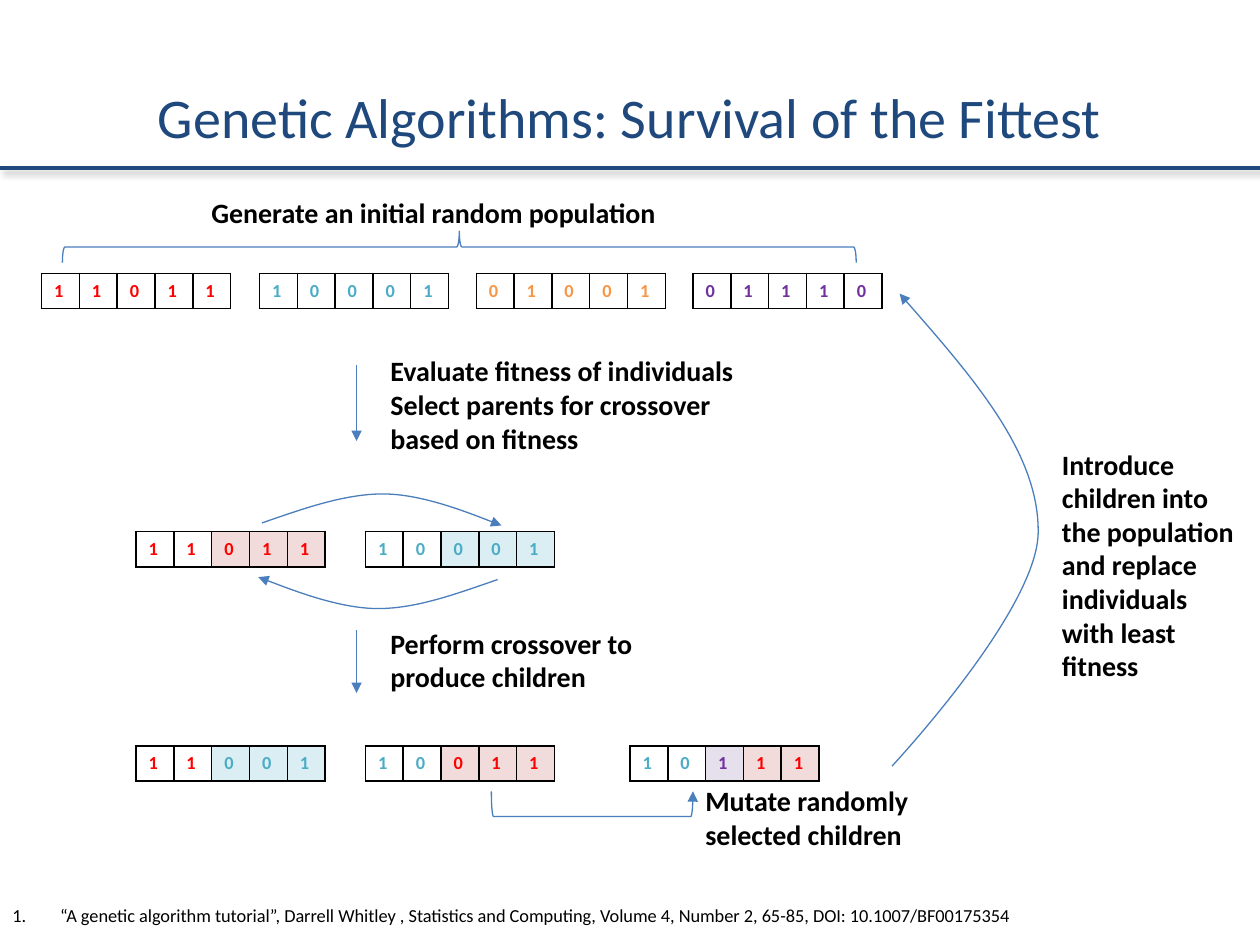
from lxml import etree
from pptx import Presentation
from pptx.dml.color import RGBColor
from pptx.enum.shapes import MSO_CONNECTOR as CONN, MSO_SHAPE as SHAPE
from pptx.enum.text import MSO_ANCHOR as ANCHOR, PP_ALIGN as ALIGN
from pptx.oxml import parse_xml
from pptx.oxml.ns import nsdecls, qn
from pptx.util import Inches, Pt

NAVY = RGBColor(0x1F, 0x49, 0x7D)
BLUE = RGBColor(0x4B, 0x7E, 0xBC)
BLACK = RGBColor(0, 0, 0)
WHITE = RGBColor(0xFF, 0xFF, 0xFF)
GENE = {
    "R": RGBColor(0xFF, 0, 0),
    "B": RGBColor(0x4B, 0xAC, 0xC6),
    "O": RGBColor(0xF7, 0x96, 0x46),
    "P": RGBColor(0x70, 0x30, 0xA0),
}
TINT = {
    "R": RGBColor(0xF2, 0xDC, 0xDB),
    "B": RGBColor(0xDB, 0xEE, 0xF4),
    "P": RGBColor(0xE6, 0xE0, 0xEC),
}


def add_text(x, y, w, h, lines, size=16, color=BLACK, bold=True):
    tf = slide.shapes.add_textbox(Inches(x), Inches(y), Inches(w), Inches(h)).text_frame
    tf.word_wrap = True
    tf.text = "\n".join(lines)
    for p in tf.paragraphs:
        f = p.runs[0].font
        f.name, f.size, f.bold, f.color.rgb = "Calibri", Pt(size), bold, color
    return tf


def style_line(s, color=BLUE, width=0.75, arrow=None):
    s.line.color.rgb = color
    s.line.width = Pt(width)
    spPr = s.element.spPr
    if arrow:
        etree.SubElement(spPr.find(qn("a:ln")), qn(f"a:{arrow}"), type="triangle")
    if spPr.find(qn("a:effectLst")) is None:
        etree.SubElement(spPr, qn("a:effectLst"))


prs = Presentation()
prs.slide_width, prs.slide_height = Inches(10), Inches(7.5)
slide = prs.slides.add_slide(prs.slide_layouts[6])

tf = add_text(0.5, 0.3, 9, 1.25, ["Genetic Algorithms: Survival of the Fittest"], 32, NAVY, False)
tf.vertical_anchor = ANCHOR.MIDDLE
tf.paragraphs[0].alignment = ALIGN.CENTER

chromosomes = [
    (0.33, 2.17, "11011", "RRRRR", 5),
    (2.06, 2.17, "10001", "BBBBB", 5),
    (3.78, 2.17, "01001", "OOOOO", 5),
    (5.5, 2.17, "01110", "PPPPP", 5),
    (1.08, 4.22, "11011", "RRRRR", 2),
    (2.9, 4.22, "10001", "BBBBB", 2),
    (1.08, 5.92, "11001", "RRBBB", 2),
    (2.9, 5.92, "10011", "BBRRR", 2),
    (5, 5.92, "10111", "BBPRR", 2),
]
for x, y, bits, genes, crossover in chromosomes:
    table = slide.shapes.add_table(1, 5, Inches(x), Inches(y), Inches(1.5), Inches(0.28)).table
    table.first_row = table.horz_banding = False
    for i, (bit, gene) in enumerate(zip(bits, genes)):
        cell = table.cell(0, i)
        cell.text = bit
        f = cell.text_frame.paragraphs[0].runs[0].font
        f.name, f.size, f.bold, f.color.rgb = "Calibri", Pt(10.5), True, GENE[gene]
        cell.fill.solid()
        cell.fill.fore_color.rgb = WHITE if i < crossover else TINT[gene]
        tcPr = cell.fill.fore_color and cell._tc.get_or_add_tcPr()
        for n, side in enumerate("LRTB"):
            tcPr.insert(n, parse_xml(
                f'<a:ln{side} {nsdecls("a")} w="12700"><a:solidFill>'
                f'<a:srgbClr val="{BLACK}"/></a:solidFill></a:ln{side}>'))

brackets = [
    (SHAPE.LEFT_BRACE, 3.52, -1.19, 0.25, 6.3, 90, None),
    (SHAPE.LEFT_BRACKET, 4.6, 5.58, 0.2, 1.6, 270, "headEnd"),
]
for kind, x, y, w, h, rotation, arrow in brackets:
    s = slide.shapes.add_shape(kind, Inches(x), Inches(y), Inches(w), Inches(h))
    s.rotation = rotation
    s.shadow.inherit = False
    s.fill.background()
    style_line(s, arrow=arrow)

for top, bottom in [(2.9, 3.5), (5, 5.5)]:
    s = slide.shapes.add_connector(
        CONN.STRAIGHT, Inches(2.83), Inches(top), Inches(2.83), Inches(bottom))
    style_line(s, arrow="tailEnd")

curves = [
    ("tailEnd", [(2.08, 4.15), (2.4, 4.04), (2.73, 3.92), (3.04, 3.92),
                 (3.36, 3.92), (3.98, 4.17), (3.98, 4.17)]),
    ("tailEnd", [(3.95, 4.6), (3.63, 4.71), (3.31, 4.83), (3, 4.83),
                 (2.68, 4.83), (2.05, 4.58), (2.05, 4.58)]),
    ("headEnd", [(7.14, 2.33), (7.7, 2.97), (8.25, 3.6), (8.24, 4.23),
                 (8.23, 4.85), (7.08, 6.08), (7.08, 6.08)]),
]
for arrow, points in curves:
    points = [(Inches(x), Inches(y)) for x, y in points]
    builder = slide.shapes.build_freeform(*points[0])
    builder.add_line_segments(points[1:], close=False)
    s = builder.convert_to_shape()
    s.shadow.inherit = False
    s.fill.background()
    segments = list(s.element.iter(qn("a:lnTo")))
    for n in range(0, len(segments), 3):
        bezier = etree.SubElement(segments[n].getparent(), qn("a:cubicBezTo"))
        for segment in segments[n:n + 3]:
            bezier.append(segment[0])
            segment.getparent().remove(segment)
    style_line(s, arrow=arrow)

s = slide.shapes.add_connector(CONN.STRAIGHT, 0, Inches(1.33), Inches(10), Inches(1.33))
style_line(s, NAVY, 2.25)
s.element.spPr.find(qn("a:effectLst")).append(parse_xml(
    f'<a:outerShdw {nsdecls("a")} blurRad="50800" dist="38100" dir="2700000">'
    f'<a:srgbClr val="{BLACK}"><a:alpha val="40000"/></a:srgbClr></a:outerShdw>'))

tf = add_text(1.58, 1.5, 3.77, 0.37, ["Generate an initial random population"])
tf.word_wrap = False
add_text(3, 2.76, 3.08, 0.91, ["Evaluate fitness of individuals",
                               "Select parents for crossover based on fitness"])
add_text(3, 4.92, 2.83, 0.64, ["Perform crossover to produce children"])
add_text(5.5, 6.17, 1.83, 0.64, ["Mutate randomly selected children"])
add_text(8.33, 3.5, 1.58, 1.99, ["Introduce children into the population and "
                                 "replace individuals with least fitness"])

tf = add_text(0, 7.13, 10, 0.28, [
    "“A genetic algorithm tutorial”, Darrell Whitley , Statistics and Computing, "
    "Volume 4, Number 2, 65-85, DOI: 10.1007/BF00175354"], 10.5, bold=False)
pPr = tf.paragraphs[0]._p.get_or_add_pPr()
pPr.set("marL", str(Inches(0.38)))
pPr.set("indent", str(Inches(-0.38)))
etree.SubElement(pPr, qn("a:buFont"), typeface="+mj-lt")
etree.SubElement(pPr, qn("a:buAutoNum"), type="arabicPeriod")

prs.save("out.pptx")
